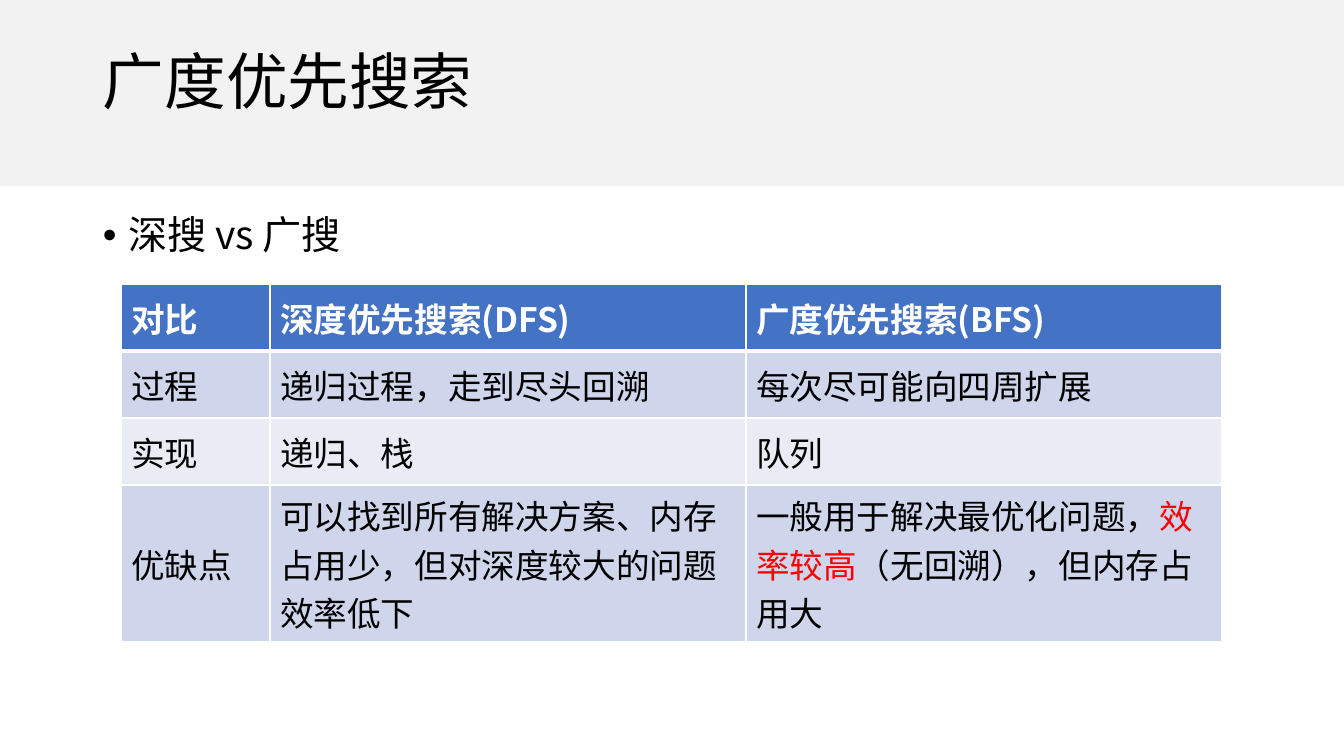
from lxml import etree
from pptx import Presentation, util as u
from pptx.dml.color import RGBColor
from pptx.enum import shapes, text
from pptx.oxml import ns

PX = 914400 / 100.8
FONT = "Noto Sans CJK SC"
BLACK = RGBColor(0, 0, 0)
WHITE = RGBColor(255, 255, 255)
RED = RGBColor(255, 0, 0)
BAND_GREY = RGBColor(0xF2, 0xF2, 0xF2)
HEADER_BLUE = RGBColor(0x44, 0x72, 0xC4)
ROW_DARK = RGBColor(0xCF, 0xD5, 0xEA)
ROW_LIGHT = RGBColor(0xE9, 0xEB, 0xF5)


def px(*lengths):
    """Turn pixel lengths into a list of EMU lengths."""
    return [u.Emu(round(length * PX)) for length in lengths]


def write(paragraph, words, size, color, bold=False):
    """Add one run in the slide's font to a paragraph."""
    run = paragraph.add_run()
    run.text = words
    for key, value in {"size": u.Pt(size), "name": FONT, "bold": bold}.items():
        setattr(run.font, key, value)
    run.font.color.rgb = color
    etree.SubElement(run.font._element, ns.qn("a:ea"), typeface=FONT)


deck = Presentation()
deck.slide_width, deck.slide_height = px(1344, 756)
slide = deck.slides.add_slide(deck.slide_layouts[6])

header_band = slide.shapes.add_shape(shapes.MSO_SHAPE.RECTANGLE, *px(0, 0, 1344, 186))
header_band.shadow.inherit = False
header_band.fill.solid()
header_band.fill.fore_color.rgb = BAND_GREY
header_band.line.fill.background()

# Title and topic line
headings = [
    ("广度优先搜索", 44, (93, 12, 1159, 146),
     {"vertical_anchor": text.MSO_ANCHOR.MIDDLE}, {"line_spacing": 0.9}),
    ("深搜 vs 广搜", 28, (93, 211, 1159, 58),
     {"vertical_anchor": text.MSO_ANCHOR.TOP},
     {"line_spacing": 0.9, "space_before": u.Pt(10)}),
]
for words, size, place, frame_format, paragraph_format in headings:
    frame = slide.shapes.add_textbox(*px(*place)).text_frame
    frame.word_wrap = True
    for key, value in frame_format.items():
        setattr(frame, key, value)
    heading = frame.paragraphs[0]
    for key, value in paragraph_format.items():
        setattr(heading, key, value)
    write(heading, words, size, BLACK)

topic_format = heading._p.get_or_add_pPr()
topic_format.set("marL", str(u.Inches(0.25)))
topic_format.set("indent", str(-u.Inches(0.25)))
etree.SubElement(topic_format, ns.qn("a:buFont"), typeface="Arial")
etree.SubElement(topic_format, ns.qn("a:buChar"), char="•")

# Comparison table: a cell is a list of (words, colour) pieces
comparison = [
    [[("对比", WHITE)], [("深度优先搜索(DFS)", WHITE)], [("广度优先搜索(BFS)", WHITE)]],
    [[("过程", BLACK)], [("递归过程，走到尽头回溯", BLACK)], [("每次尽可能向四周扩展", BLACK)]],
    [[("实现", BLACK)], [("递归、栈", BLACK)], [("队列", BLACK)]],
    [[("优缺点", BLACK)],
     [("可以找到所有解决方案、内存占用少，但对深度较大的问题效率低下", BLACK)],
     [("一般用于解决最优化问题，", BLACK), ("效率较高", RED),
      ("（无回溯），但内存占用大", BLACK)]],
]
row_fills = [HEADER_BLUE, ROW_DARK, ROW_LIGHT, ROW_DARK]
column_widths = [149, 476, 476]
row_heights = [67, 67, 67, 157]

table = slide.shapes.add_table(
    len(row_heights), len(column_widths),
    *px(121, 284, sum(column_widths), sum(row_heights))).table
for column, width in zip(table.columns, px(*column_widths)):
    column.width = width
for row, height in zip(table.rows, px(*row_heights)):
    row.height = height

for r, row_content in enumerate(comparison):
    for c, pieces in enumerate(row_content):
        cell = table.cell(r, c)
        cell.vertical_anchor = text.MSO_ANCHOR.MIDDLE
        edges = {"lnL": 1, "lnR": 1, "lnT": 3 if r == 1 else 1, "lnB": 3 if r == 0 else 1}
        for edge, points in edges.items():
            border = etree.SubElement(cell._tc.get_or_add_tcPr(), ns.qn("a:" + edge),
                                      w=str(u.Pt(points)))
            border_fill = etree.SubElement(border, ns.qn("a:solidFill"))
            etree.SubElement(border_fill, ns.qn("a:srgbClr"), val=str(WHITE))
        cell.fill.solid()
        cell.fill.fore_color.rgb = row_fills[r]
        for words, color in pieces:
            write(cell.text_frame.paragraphs[0], words, 24, color, bold=r == 0)

deck.save("out.pptx")
